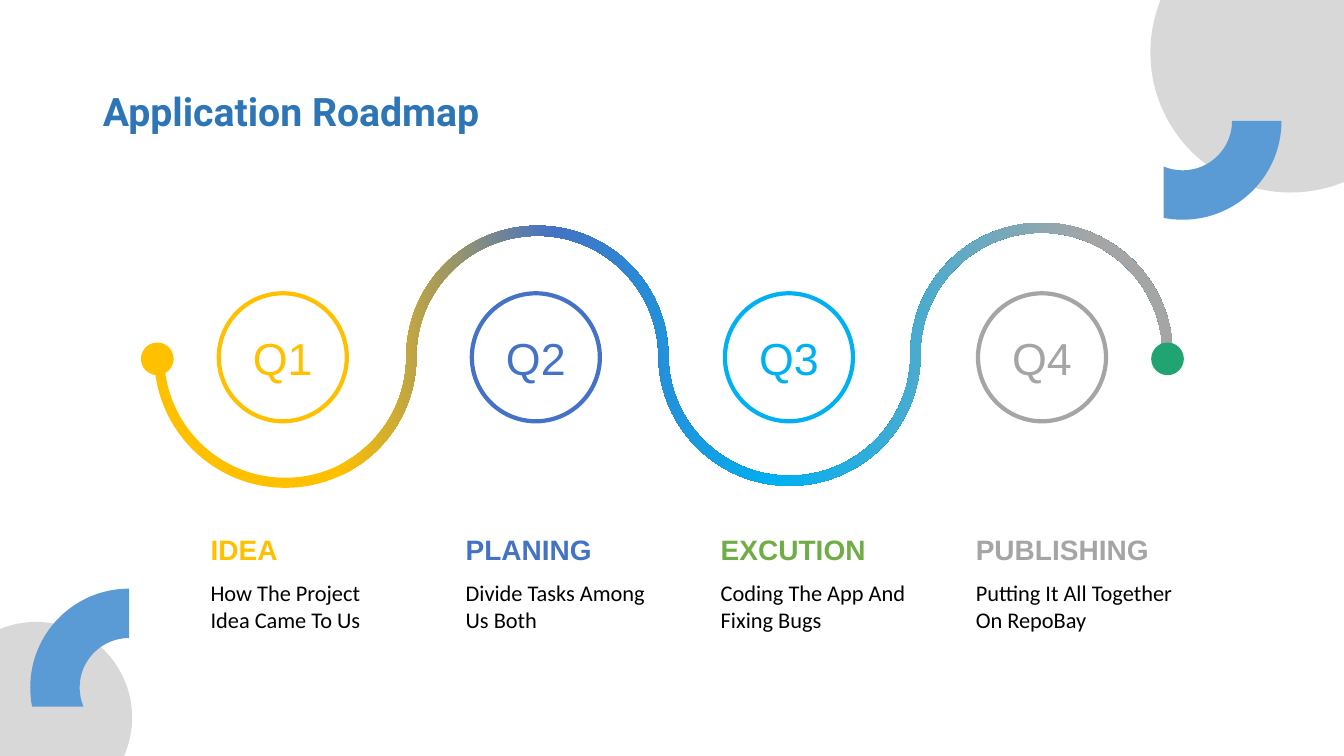
from math import acos, asin, cos, degrees, radians, sin, tan

from lxml.etree import SubElement
from pptx import Presentation
from pptx.dml.color import RGBColor
from pptx.enum.shapes import MSO_SHAPE
from pptx.enum.text import MSO_ANCHOR, MSO_AUTO_SIZE, PP_ALIGN
from pptx.oxml.ns import qn
from pptx.util import Inches, Pt

WIDTH, HEIGHT = 13.33, 7.5
GREY, BLUE = "D8D8D8", "5B9BD5"
QUARTERS = [
    ("Q1", "FFC000", "IDEA", "FFC000", "How The Project Idea Came To Us", 1.98),
    ("Q2", "4472C4", "PLANING", "4472C4", "Divide Tasks Among Us Both", 1.98),
    ("Q3", "00B0F0", "EXCUTION", "70AD47", "Coding The App And Fixing Bugs", 2.09),
    ("Q4", "A5A5A5", "PUBLISHING", "A5A5A5", "Putting It All Together On RepoBay", 2.23),
]
ROAD_STOPS = [(18, "FFC000"), (39, "4472C4"), (61, "00B0F0"), (92, "A5A5A5")]
ROAD_BENDS = [(2.83, 3.54, 0), (5.33, 3.54, 360), (7.83, 3.52, 0), (10.33, 3.51, 360)]


def rgb(color):
    """Turn a hex string into a colour."""
    return RGBColor.from_string(color)


def write(tf, text, size, font, color, bold=False, spacing=1.0, align=PP_ALIGN.LEFT):
    """Put one formatted paragraph into a text frame."""
    tf.text = text
    tf.word_wrap = True
    tf.auto_size = MSO_AUTO_SIZE.NONE
    p = tf.paragraphs[0]
    p.alignment = align
    p.line_spacing = spacing
    f = p.runs[0].font
    f.size, f.name, f.bold = Pt(size), font, bold
    f.color.rgb = rgb(color)


def add_text(slide, x, y, w, h, *args, **kwargs):
    """Add a text box with one paragraph."""
    box = slide.shapes.add_textbox(Inches(x), Inches(y), Inches(w), Inches(h))
    write(box.text_frame, *args, **kwargs)


def add_circle(slide, x, y, size, fill, line, line_width):
    """Add a filled and outlined circle."""
    sp = slide.shapes.add_shape(
        MSO_SHAPE.OVAL, Inches(x), Inches(y), Inches(size), Inches(size))
    sp.shadow.inherit = False
    sp.fill.solid()
    sp.fill.fore_color.rgb = rgb(fill)
    sp.line.color.rgb = rgb(line)
    sp.line.width = Pt(line_width)
    return sp


def arc(cx, cy, r, start, end):
    """List a line to an arc's start and its curves, split at quadrants."""
    low, high = sorted((start, end))
    inner = [a for a in range(0, 451, 90) if low < a < high]
    angles = [radians(a) for a in sorted([start, *inner, end], reverse=start > end)]
    segments = [((cx + r * cos(angles[0]), cy + r * sin(angles[0])),)]
    for a, b in zip(angles, angles[1:]):
        k = 4 / 3 * tan((b - a) / 4)
        segments.append((
            (cx + r * (cos(a) - k * sin(a)), cy + r * (sin(a) + k * cos(a))),
            (cx + r * (cos(b) + k * sin(b)), cy + r * (sin(b) - k * cos(b))),
            (cx + r * cos(b), cy + r * sin(b))))
    return segments


def add_outline(slide, segments, color):
    """Add a closed freeform of lines and curves."""
    first, *rest = [(Inches(x), Inches(y)) for x, y in (s[-1] for s in segments)]
    builder = slide.shapes.build_freeform(*first)
    builder.add_line_segments(rest, close=True)
    sp = builder.convert_to_shape()
    for line, segment in zip(list(sp._element.iter(qn("a:lnTo"))), segments[1:]):
        if len(segment) == 3:
            line.tag = qn("a:cubicBezTo")
            line.clear()
            for x, y in segment:
                SubElement(line, qn("a:pt"), x=str(Inches(x) - sp.left),
                           y=str(Inches(y) - sp.top))
    sp.shadow.inherit = False
    sp.fill.solid()
    sp.fill.fore_color.rgb = rgb(color)
    sp.line.fill.background()
    return sp


def set_gradient(sp, stops):
    """Replace a solid fill by a left-to-right gradient."""
    solid = sp._element.spPr.find(qn("a:solidFill"))
    grad = SubElement(sp._element.spPr, qn("a:gradFill"))
    gs_list = SubElement(grad, qn("a:gsLst"))
    for percent, color in stops:
        gs = SubElement(gs_list, qn("a:gs"), pos=str(percent * 1000))
        SubElement(gs, qn("a:srgbClr"), val=color)
    SubElement(grad, qn("a:lin"), ang="0", scaled="0")
    solid.getparent().replace(solid, grad)


def add_road(slide):
    """Add the winding road, out along one edge and back along the other."""
    out, back = [], []
    for cx, cy, end in ROAD_BENDS:
        near, far = (1.3, 1.2) if end else (1.2, 1.3)
        out += arc(cx, cy, near, 180, end)
        back = arc(cx, cy, far, end, 180) + back
    set_gradient(add_outline(slide, out + back, ROAD_STOPS[0][1]), ROAD_STOPS)


def add_ring(slide, cx, cy, start, direction):
    """Add a quarter ring whose far end is cut straight, just past the quarter."""
    outer, inner, overrun = 0.98, 0.49, 0.19
    sweeps = [direction * (90 + degrees(asin(overrun / r))) for r in (outer, inner)]
    segments = arc(cx, cy, outer, start, start + sweeps[0])
    segments += arc(cx, cy, inner, start + sweeps[1], start)
    add_outline(slide, segments, BLUE)


def add_corners(slide):
    """Add the discs and rings in two corners."""
    cx, cy, r = 12.8, 0.52, 1.39
    start, end = degrees(acos((WIDTH - cx) / r)), 180 + degrees(asin(cy / r))
    add_outline(slide, arc(cx, cy, r, start, end) + [((WIDTH, 0),)], GREY)
    cx, cy, r = 0.36, 7.12, 0.95
    start, end = 180 + degrees(acos(cx / r)), 360 + degrees(asin((HEIGHT - cy) / r))
    add_outline(slide, arc(cx, cy, r, start, end) + [((0, HEIGHT),)], GREY)
    add_ring(slide, 11.73, 1.2, 0, 1)
    add_ring(slide, 1.28, 6.82, 270, -1)


def add_quarter(slide, i, name, color, heading, heading_color, detail, width):
    """Add one quarter's circle, heading and description."""
    sp = add_circle(slide, 2.17 + 2.51 * i, 2.91, 1.27, "FFFFFF", color, 3)
    write(sp.text_frame, name, 32, "Arial", color, align=PP_ALIGN.CENTER)
    sp.text_frame.vertical_anchor = MSO_ANCHOR.MIDDLE
    x = 1.99 + 2.53 * i
    add_text(slide, x, 5.27, 1.96, 0.33, heading, 20, "Arial", heading_color,
             bold=True, spacing=0.9)
    add_text(slide, x, 5.7, width, 0.77, detail, 16, "Calibri", "000000")


def add_title(slide, text):
    """Place and format the title."""
    title = slide.shapes.title
    title.left, title.top = Inches(0.92), Inches(0.4)
    title.width, title.height = Inches(11.5), Inches(1.45)
    write(title.text_frame, text, 28, "Roboto", "2E75B5", bold=True, spacing=0.9)
    title.text_frame.vertical_anchor = MSO_ANCHOR.MIDDLE


def main():
    """Build and save the roadmap slide."""
    prs = Presentation()
    prs.slide_width, prs.slide_height = Inches(WIDTH), Inches(HEIGHT)
    slide = prs.slides.add_slide(prs.slide_layouts[5])
    add_title(slide, "Application Roadmap")
    for i, quarter in enumerate(QUARTERS):
        add_quarter(slide, i, *quarter)
    add_road(slide)
    for x, color in ((1.44, "FFC000"), (11.46, "20A472")):
        add_circle(slide, x, 3.44, 0.24, color, color, 6)
    add_corners(slide)
    prs.save("out.pptx")


if __name__ == "__main__":
    main()
